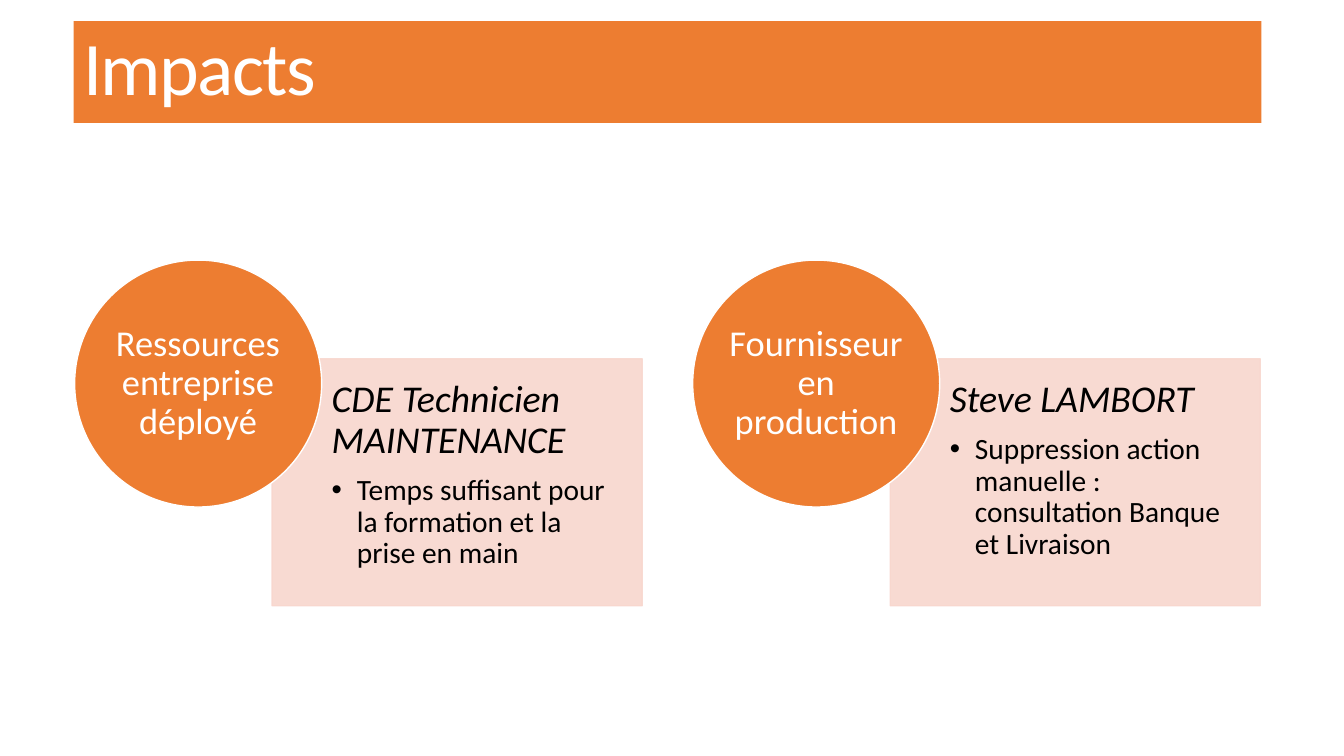
from lxml import etree
from pptx import Presentation
from pptx import util as u
from pptx.dml.color import RGBColor
from pptx.enum import shapes, text
from pptx.oxml.ns import qn

COLORS = {"orange": "ED7D31", "pink": "F8D7CE", "white": "FFFFFF", "black": "000000"}
IMPACTS = [
    ("Ressources entreprise déployé", "CDE Technicien MAINTENANCE",
     "Temps suffisant pour la formation et la prise en main"),
    ("Fournisseur en production", "Steve LAMBORT",
     "Suppression action manuelle : consultation Banque et Livraison"),
]


def rgb(name):
    return RGBColor.from_string(COLORS[name])


def write(p, content, size, color="black", italic=False, align=text.PP_ALIGN.LEFT,
          line=0.9, after=0, spacing=None, bullet=False):
    p.alignment = align
    p.line_spacing = line
    p.space_before = u.Pt(0)
    p.space_after = u.Pt(after)
    r = p.add_run()
    r.text = content
    r.font.name = "Calibri"
    r.font.size = u.Pt(size)
    r.font.italic = italic
    r.font.color.rgb = rgb(color)
    if spacing is not None:
        r.font._element.set("spc", str(round(spacing * 100)))
    if bullet:
        p.level = 1
        pPr = p._p.get_or_add_pPr()
        pPr.set("marL", str(u.Inches(0.25)))
        pPr.set("indent", str(-u.Inches(0.25)))
        etree.SubElement(pPr, qn("a:buFont")).set("typeface", "Arial")
        etree.SubElement(pPr, qn("a:buChar")).set("char", "•")


class Deck:
    def __init__(self):
        self.prs = Presentation()
        self.prs.slide_width = u.Inches(13.33)
        self.prs.slide_height = u.Inches(7.5)
        self.slide = self.prs.slides.add_slide(self.prs.slide_layouts[5])

    def title(self, content, x, y, w, h):
        sp = self.slide.shapes.title
        sp.left, sp.top, sp.width, sp.height = map(u.Inches, (x, y, w, h))
        sp.fill.solid()
        sp.fill.fore_color.rgb = rgb("orange")
        tf = sp.text_frame
        tf.auto_size = text.MSO_AUTO_SIZE.NONE
        tf.vertical_anchor = text.MSO_ANCHOR.MIDDLE
        write(tf.paragraphs[0], content, 54, "white", line=0.85, spacing=-1.2)

    def shape(self, kind, x, y, w, h, fill, line, opacity=None):
        sp = self.slide.shapes.add_shape(kind, *map(u.Inches, (x, y, w, h)))
        sp.shadow.inherit = False
        for paint, color in ((sp.fill, fill), (sp.line.fill, line)):
            paint.solid()
            paint.fore_color.rgb = rgb(color)
        sp.line.width = u.Pt(1)
        if opacity is not None:
            for clr in sp._element.spPr.iter(qn("a:srgbClr")):
                etree.SubElement(clr, qn("a:alpha")).set("val", str(opacity * 1000))

    def text_box(self, x, y, w, h, margins, anchor):
        sp = self.slide.shapes.add_textbox(*map(u.Inches, (x, y, w, h)))
        tf = sp.text_frame
        tf.word_wrap = True
        tf.vertical_anchor = anchor
        tf.margin_left, tf.margin_top, tf.margin_right, tf.margin_bottom = map(u.Inches, margins)
        return tf

    def impact(self, x, label, heading, detail):
        top, size, panel_top, inset = 2.58, 2.45, 3.56, 0.36
        self.shape(shapes.MSO_SHAPE.RECTANGLE, x + 1.96, panel_top, 3.67, size,
                   "pink", "pink", opacity=90)
        tf = self.text_box(x + 2.55, panel_top, 3.09, size, (0, 0.21, 0.21, 0.21),
                           text.MSO_ANCHOR.TOP)
        write(tf.paragraphs[0], heading, 27, italic=True, after=9.45)
        write(tf.add_paragraph(), detail, 21, after=3.15, bullet=True)
        self.shape(shapes.MSO_SHAPE.OVAL, x, top, size, size, "orange", "white")
        side = size - 2 * inset
        tf = self.text_box(x + inset, top + inset, side, side, (0, 0, 0, 0),
                           text.MSO_ANCHOR.MIDDLE)
        write(tf.paragraphs[0], label, 26, "white", align=text.PP_ALIGN.CENTER)


def main():
    deck = Deck()
    deck.title("Impacts", 0.73, 0.21, 11.78, 1.01)
    for i, impact in enumerate(IMPACTS):
        deck.impact(0.74 + i * 6.13, *impact)
    deck.prs.save("out.pptx")


if __name__ == "__main__":
    main()
